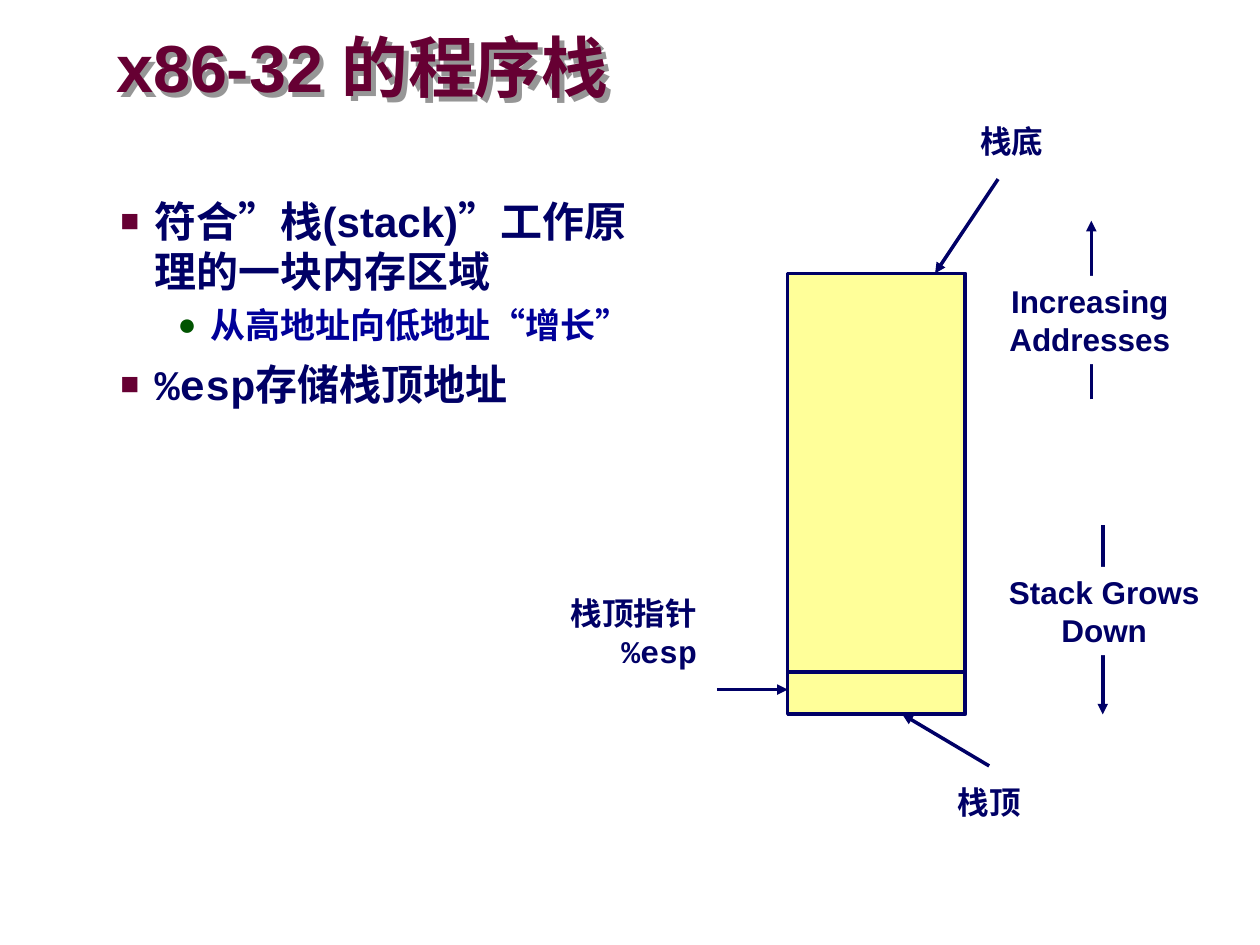
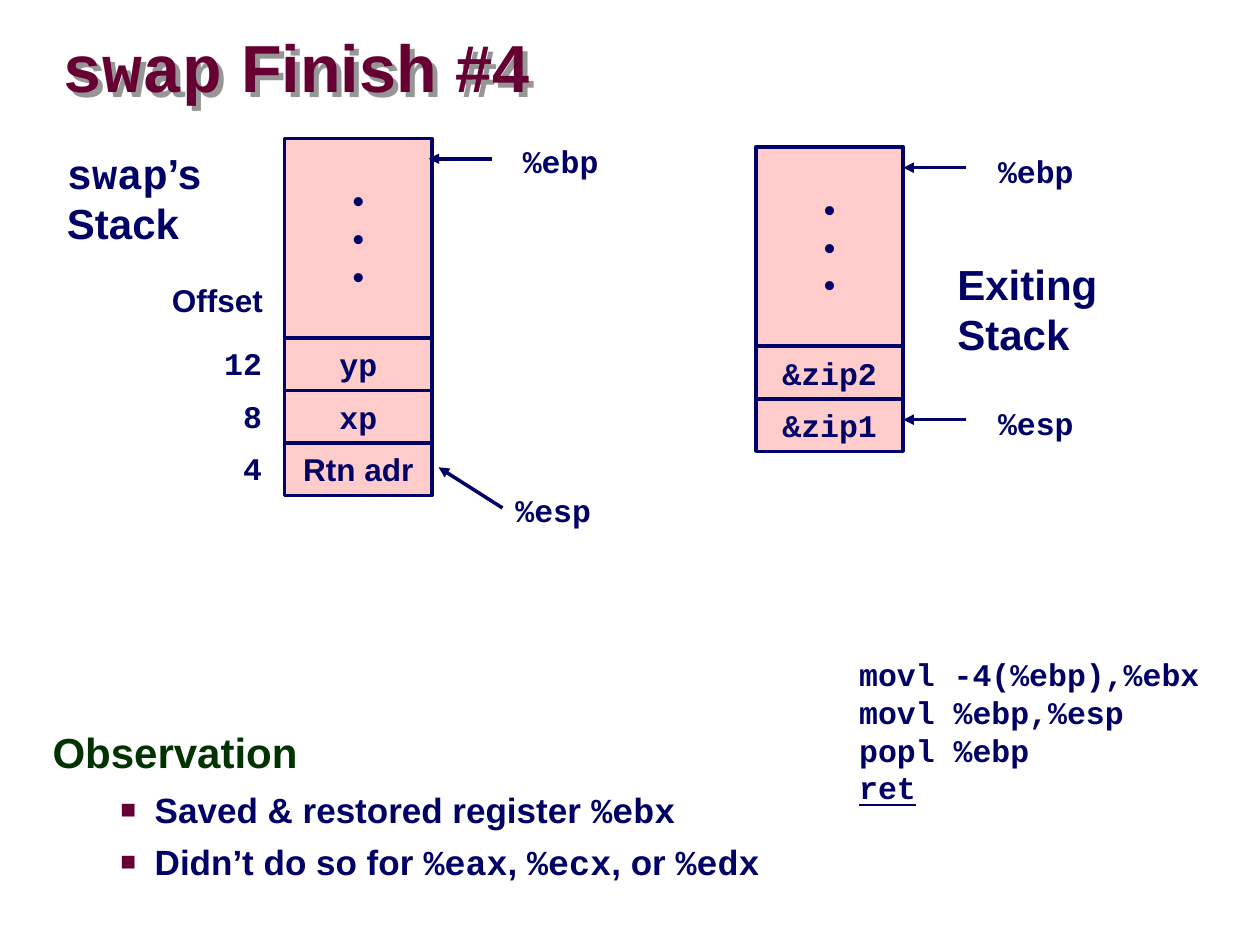
"""Build two slides about the x86-32 program stack."""
from lxml import etree
from pptx import Presentation
from pptx.dml.color import RGBColor
from pptx.enum import shapes, text
from pptx.oxml import ns
from pptx.util import Cm, Pt

NAVY = RGBColor(0x00, 0x00, 0x66)
BLUE = RGBColor(0x00, 0x00, 0x99)
MAROON = RGBColor(0x66, 0x00, 0x33)
GREEN = RGBColor(0x00, 0x54, 0x00)
DARK_GREEN = RGBColor(0x00, 0x33, 0x00)
GREY = RGBColor(0x96, 0x96, 0x96)
WHITE = RGBColor(0xFF, 0xFF, 0xFF)
YELLOW = RGBColor(0xFF, 0xFF, 0x99)
PINK = RGBColor(0xFF, 0xCC, 0xCC)

SANS, MONO = "Arial", "Courier New"
LEFT, CENTER, RIGHT = text.PP_ALIGN.LEFT, text.PP_ALIGN.CENTER, text.PP_ALIGN.RIGHT
MIDDLE = text.MSO_ANCHOR.MIDDLE
CELL_WIDTH, CELL_HEIGHT, DOTS_HEIGHT = 2.97, 1.06, 4.02


def add_element(parent, tag, **attributes):
    """Append a DrawingML element and return it."""
    return etree.SubElement(parent, ns.qn(tag), {k: str(v) for k, v in attributes.items()})


class Deck:
    """Holds the shared style and the current slide."""

    def __init__(self):
        self.presentation = Presentation()
        self.presentation.slide_width = Cm(25.4)
        self.presentation.slide_height = Cm(19.05)
        self.slide = None

    def new_slide(self, title, left, width):
        """Start a slide with a shadowed title."""
        self.slide = self.presentation.slides.add_slide(self.presentation.slide_layouts[6])
        shape = self.label([title], left, 0.64, width, 1.6, size=38, color=MAROON)
        frame = shape.text_frame
        frame.margin_top = frame.margin_bottom = 0
        frame.vertical_anchor = MIDDLE
        frame.paragraphs[0].line_spacing = 0.87
        effects = add_element(shape._element.spPr, "a:effectLst")
        shadow = add_element(effects, "a:outerShdw", dist=Cm(0.14), dir=2700000, algn="ctr")
        add_element(shadow, "a:srgbClr", val=GREY)

    def fill_paragraph(self, paragraph, content, size, color, align=LEFT):
        """Fill a paragraph; parts between backticks are monospaced."""
        paragraph.alignment = align
        font = paragraph.font
        font.size, font.bold = Pt(size), True
        font.color.rgb = color
        parts = [(part, MONO if i % 2 else SANS)
                 for i, part in enumerate(content.split("`")) if part]
        for part, name in parts:
            run = paragraph.add_run()
            run.text = part
            owner = paragraph if len(parts) == 1 else run
            owner.font.name = name

    def fill_frame(self, shape, lines, size=18, color=NAVY, align=LEFT):
        """Put one paragraph per line into a shape."""
        frame = shape.text_frame
        frame.word_wrap = True
        frame.margin_left = frame.margin_right = 0
        for i, line in enumerate(lines):
            paragraph = frame.add_paragraph() if i else frame.paragraphs[0]
            self.fill_paragraph(paragraph, line, size, color, align)

    def label(self, lines, left, top, width=4, height=1.02, fill=None, **style):
        """Add free text, on a fill if one is given."""
        shape = self.slide.shapes.add_textbox(Cm(left), Cm(top), Cm(width), Cm(height))
        if fill is not None:
            shape.fill.solid()
            shape.fill.fore_color.rgb = fill
        self.fill_frame(shape, lines, **style)
        return shape

    def box(self, left, top, width, height, fill, lines=()):
        """Add an outlined rectangle with centred text."""
        shape = self.slide.shapes.add_shape(
            shapes.MSO_SHAPE.RECTANGLE, Cm(left), Cm(top), Cm(width), Cm(height))
        shape.shadow.inherit = False
        shape.fill.solid()
        shape.fill.fore_color.rgb = fill
        shape.line.color.rgb = NAVY
        shape.line.width = Pt(2)
        shape.text_frame.vertical_anchor = MIDDLE
        self.fill_frame(shape, lines, align=CENTER)

    def line(self, x1, y1, x2, y2, arrow=True):
        """Add a straight line, with an arrowhead at its end by default."""
        connector = self.slide.shapes.add_connector(
            shapes.MSO_CONNECTOR.STRAIGHT, Cm(x1), Cm(y1), Cm(x2), Cm(y2))
        connector.line.color.rgb = NAVY
        connector.line.width = Pt(2)
        properties = connector._element.spPr
        if arrow:
            add_element(properties.find(ns.qn("a:ln")), "a:tailEnd", type="triangle")
        add_element(properties, "a:effectLst")

    def stack(self, left, top, cells):
        """Add a stack column: a tall box of dots above equal cells."""
        self.box(left, top, CELL_WIDTH, DOTS_HEIGHT, PINK, ["•"] * 3)
        for i, cell in enumerate(cells):
            self.box(left, top + DOTS_HEIGHT + i * CELL_HEIGHT,
                     CELL_WIDTH, CELL_HEIGHT, PINK, [cell])

    def body(self, left, top, width, height, items):
        """Add an outline from (level, text, size, space before) items."""
        levels = [(0, 0, None, None, None, DARK_GREEN, 0.85),
                  (2.06, -0.69, MAROON, "■", 75000, NAVY, 1.0),
                  (3.18, -0.66, GREEN, "●", 90000, BLUE, 1.07)]
        shape = self.slide.shapes.add_textbox(Cm(left), Cm(top), Cm(width), Cm(height))
        frame = shape.text_frame
        frame.word_wrap = True
        for i, (level, content, size, space) in enumerate(items):
            margin, indent, bullet_color, bullet, scale, color, spacing = levels[level]
            paragraph = frame.add_paragraph() if i else frame.paragraphs[0]
            paragraph.line_spacing = spacing
            if i:
                paragraph.space_before = Pt(space)
            properties = paragraph._p.get_or_add_pPr()
            properties.set("marL", str(Cm(margin)))
            properties.set("indent", str(Cm(indent)))
            if bullet:
                add_element(add_element(properties, "a:buClr"), "a:srgbClr", val=bullet_color)
                add_element(properties, "a:buSzPct", val=scale)
                add_element(properties, "a:buFont", typeface=SANS)
                add_element(properties, "a:buChar", char=bullet)
            self.fill_paragraph(paragraph, content, size, color)


def program_stack(deck):
    """Build the slide on the layout of the program stack."""
    deck.new_slide("x86-32 的程序栈", 2.34, 13.77)
    deck.body(0.81, 3.81, 12.4, 10.8, [
        (1, "符合”栈(stack)”工作原理的一块内存区域", 24, 0),
        (2, "从高地址向低地址“增长”", 20, 2.5),
        (1, "`%esp存储栈顶地址`", 24, 7.5)])
    deck.label(["栈顶指针", "`%esp`"], 11.05, 11.86, 3, 1.78, align=RIGHT)
    deck.line(14.45, 13.9, 15.88, 13.9)
    deck.box(15.88, 5.51, 3.58, 8.89, YELLOW)
    deck.line(15.88, 13.55, 19.46, 13.55, arrow=False)
    deck.line(22.23, 10.59, 22.23, 14.4)
    deck.label(["Stack Grows", "Down"], 20.09, 11.43, 4.34, 1.78, WHITE, align=CENTER)
    deck.line(22, 8.05, 22, 4.45)
    deck.label(["Increasing", "Addresses"], 20.09, 5.56, 3.76, 1.78, WHITE, align=CENTER)
    deck.line(19.94, 15.44, 18.19, 14.4)
    deck.label(["栈顶"], 19.05, 15.67, 1.78, align=CENTER)
    deck.line(20.12, 3.61, 18.85, 5.51)
    deck.label(["栈底"], 19.51, 2.34, 1.78, align=CENTER)


def swap_finish(deck):
    """Build the slide on the end of the swap function."""
    deck.new_slide("`swap` Finish #4", 1.27, 16.05)

    deck.label(["`swap`’s", "Stack"], 1.35, 2.84, height=2.29, size=24)
    deck.stack(5.74, 2.79, ["`yp`", "`xp`", "Rtn adr"])
    deck.label(["Offset"], 2.3, 5.54, 3, align=RIGHT)
    for i, offset in enumerate((12, 8, 4)):
        deck.label([f"`{offset}`"], 2.28, 6.81 + i * CELL_HEIGHT, 3, align=RIGHT)
    deck.line(9.91, 3.2, 8.64, 3.2)
    deck.label(["`%ebp`"], 10.54, 2.74)
    deck.line(10.13, 10.24, 8.84, 9.42)
    deck.label(["`%esp`"], 10.39, 9.78)

    deck.label(["Exiting", "Stack"], 19.3, 5.08, height=2.29, size=24)
    deck.stack(15.24, 2.96, ["`&zip2`", "`&zip1`"])
    for register, y in (("`%ebp`", 3.38), ("`%esp`", 8.46)):
        deck.line(19.48, y, 18.21, y)
        deck.label([register], 20.12, y - 0.43)

    code = deck.label(["`movl -4(%ebp),%ebx`", "`movl %ebp,%esp`", "`popl %ebp`", "`ret`"],
                      17.32, 13.08, 7.4, 3.3)
    code.text_frame.paragraphs[-1].font.underline = True
    deck.body(0.81, 14.68, 23.09, 3.23, [
        (0, "Observation", 24, 0),
        (1, "Saved & restored register `%ebx`", 20, 6.2),
        (1, "Didn’t do so for `%eax`, `%ecx`, or `%edx`", 20, 6.2)])


def main():
    """Build and save the presentation."""
    deck = Deck()
    program_stack(deck)
    swap_finish(deck)
    deck.presentation.save("out.pptx")


if __name__ == "__main__":
    main()
